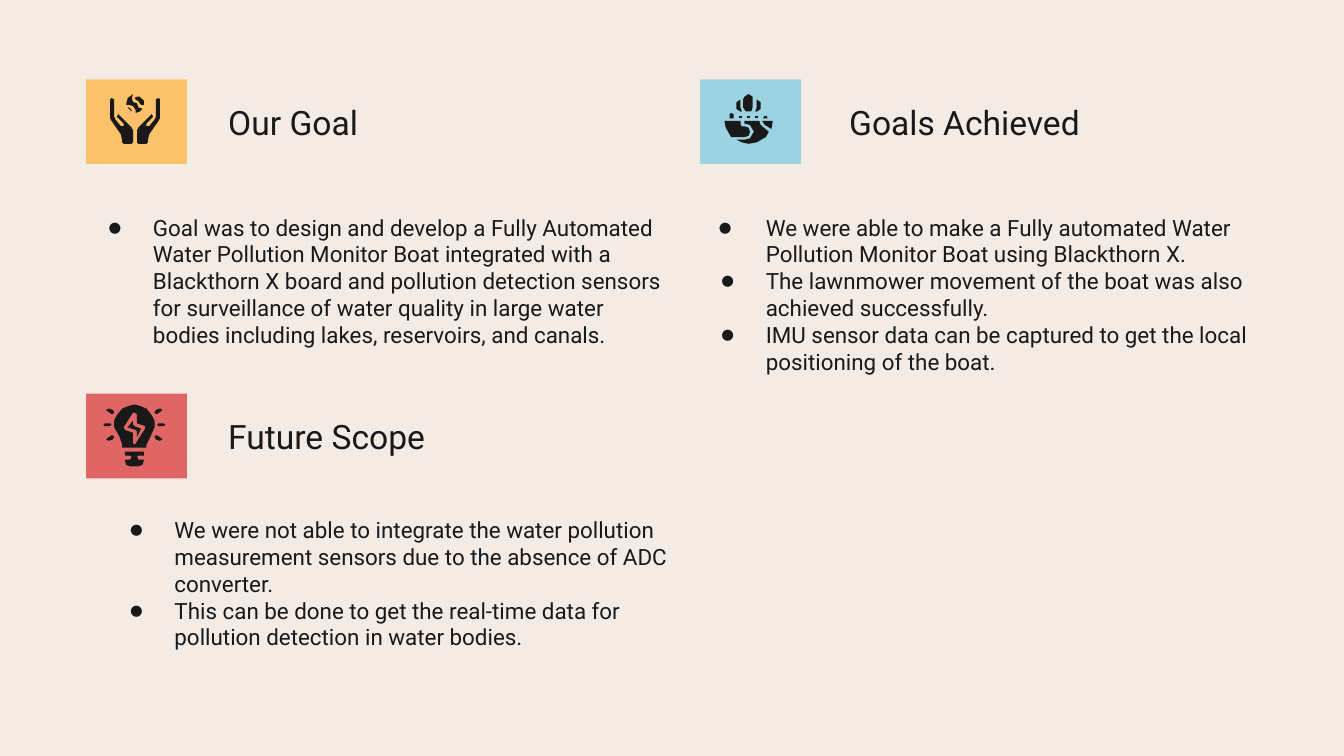
from dataclasses import dataclass
from typing import NamedTuple

from lxml import etree
from pptx import Presentation
from pptx.dml.color import RGBColor
from pptx.enum.shapes import MSO_SHAPE
from pptx.enum.text import MSO_ANCHOR, PP_ALIGN
from pptx.oxml.ns import qn
from pptx.util import Inches, Pt

RECTANGLE = MSO_SHAPE.RECTANGLE
TOP, MIDDLE = MSO_ANCHOR.TOP, MSO_ANCHOR.MIDDLE
LEFT = PP_ALIGN.LEFT

SLIDE_WIDTH = Inches(10)
SLIDE_HEIGHT = SLIDE_WIDTH * 9 // 16
COLUMNS = 1000
UNIT = SLIDE_WIDTH // COLUMNS
FONT = "Roboto"
INK, PAPER = "191919", "F4EBE4"
TILE_COLUMNS, TILE_ROWS = 75, 63
HEADING_COLUMNS, HEADING_ROWS, HEADING_DROP = 274, 53, 5
TEXT_INDENT, HANGING = 50, 33
BULLET_SHARE = "65000"

Outline = list[tuple[int, int]]
Piece = list[Outline]


class Box(NamedTuple):
    column: int
    row: int
    columns: int
    rows: int


class Bullet(NamedTuple):
    text: str
    hanging: int = HANGING


@dataclass
class Section:
    heading: str
    tile_column: int
    tile_row: int
    tile_color: str
    heading_column: int
    body: Box
    bullets: list[Bullet]
    icon: list[Piece]


def mirror_x(outline: Outline, total: int) -> Outline:
    return [(total - x, y) for x, y in outline]


def mirror_y(outline: Outline, total: int) -> Outline:
    return [(x, total - y) for x, y in outline]


def window(column: int) -> Outline:
    return [(column, 27), (column, 29), (column + 2, 29), (column + 2, 27)]


HAND = [(54, 14), (52, 15), (52, 28), (51, 30), (47, 35), (45, 35), (45, 33),
        (50, 28), (49, 26), (48, 27), (39, 36), (38, 38), (38, 47), (39, 48),
        (45, 48), (46, 47), (46, 46), (47, 41), (54, 31), (55, 29), (55, 15)]
GLOBE = [
    [(35, 11), (31, 14), (30, 18), (30, 19), (32, 19), (35, 20), (37, 23), (37, 25),
     (40, 24), (42, 22), (39, 21), (38, 18), (35, 17), (34, 14)],
    [(38, 13), (36, 14), (38, 16), (39, 16), (40, 18), (41, 19), (43, 19), (43, 16), (40, 13)],
    [(31, 21), (34, 24), (34, 23), (32, 21)],
]
CARING_HANDS = [[outline] for outline in [HAND, mirror_x(HAND, 73), *GLOBE]]

SIDE_TOWER = [(30, 15), (27, 17), (27, 22), (30, 24), (31, 24), (30, 21)]
CITY = [
    *map(window, (29, 35, 41)),
    [(47, 29), (47, 28), (49, 27), (50, 28), (50, 29)],
    [(22, 29), (22, 26), (23, 25), (25, 26), (25, 29)],
    [(36, 11), (33, 13), (32, 15), (32, 21), (34, 24), (38, 24), (39, 21), (39, 15), (39, 13)],
    SIDE_TOWER,
    mirror_x(SIDE_TOWER, 72),
]
LAND = [
    [(33, 31), (33, 33), (37, 34), (40, 39), (37, 44), (33, 45), (27, 45), (31, 47),
     (36, 48), (42, 47), (49, 43), (51, 39), (45, 34), (44, 31)],
    [(46, 31), (48, 34), (53, 37), (54, 31)],
    [(18, 31), (19, 36), (23, 43), (33, 43), (36, 42), (37, 39), (36, 36), (33, 35),
     (31, 35), (30, 34), (30, 31)],
]
CITY_ON_EARTH = [[outline] for outline in CITY + LAND]

SIDE_RAY = [(54, 22), (58, 22), (59, 23), (58, 24), (54, 24), (53, 23)]
UPPER_RAY = [(55, 11), (52, 12), (51, 14), (52, 15), (53, 15), (56, 13), (57, 12)]
RIGHT_RAYS = [SIDE_RAY, UPPER_RAY, mirror_y(UPPER_RAY, 46)]
BOLT = [(35, 20), (31, 25), (37, 27), (38, 28), (38, 32), (41, 26), (36, 24), (35, 23)]
SOCKET = [(29, 43), (29, 46), (33, 46), (34, 47), (33, 49), (29, 49), (29, 50), (30, 53),
          (33, 54), (39, 54), (42, 53), (43, 50), (43, 49), (39, 49), (38, 47), (39, 46),
          (43, 46), (43, 43)]
GLASS = [(36, 8), (32, 9), (27, 11), (23, 16), (21, 20), (21, 25), (25, 32), (27, 38),
         (27, 40), (45, 40), (45, 38), (48, 32), (51, 25), (51, 20), (49, 16), (45, 11), (40, 9)]
BOLT_EDGE = [(36, 14), (38, 15), (38, 22), (44, 24), (44, 26), (37, 37), (36, 38),
             (35, 37), (35, 29), (29, 27), (28, 25), (35, 14)]
RAYS = RIGHT_RAYS + [mirror_x(ray, 72) for ray in RIGHT_RAYS]
LIGHT_BULB = [[outline] for outline in [*RAYS, BOLT, SOCKET]] + [[GLASS, BOLT_EDGE]]

SECTIONS = [
    Section("Our Goal", 64, 59, "FCC16B", 160, Box(54, 149, 457, 185), [
        Bullet("Goal was to design and develop a Fully Automated Water Pollution Monitor Boat "
               "integrated with a Blackthorn X board and pollution detection sensors for "
               "surveillance of water quality in large water bodies including lakes, "
               "reservoirs, and canals."),
    ], CARING_HANDS),
    Section("Goals Achieved", 521, 59, "9CD3E2", 622, Box(510, 149, 444, 281), [
        Bullet("We were able to make a Fully automated Water Pollution Monitor Boat using "
               "Blackthorn X.", 35),
        Bullet("The lawnmower movement of the boat was also achieved successfully."),
        Bullet("IMU sensor data can be captured to get the local positioning of the boat."),
    ], CITY_ON_EARTH),
    Section("Future Scope", 64, 293, "E06666", 160, Box(70, 374, 457, 185), [
        Bullet("We were not able to integrate the water pollution measurement sensors due to "
               "the absence of ADC converter."),
        Bullet("This can be done to get the real-time data for pollution detection in water "
               "bodies."),
    ], LIGHT_BULB),
]


def paint(fill, color: str) -> None:
    fill.solid()
    fill.fore_color.rgb = RGBColor.from_string(color)


def finish(shape, color: str) -> None:
    paint(shape.fill, color)
    shape.line.fill.background()
    shape.shadow.inherit = False


def add_bullet(paragraph, hanging: int) -> None:
    properties = paragraph._p.get_or_add_pPr()
    properties.set("marL", str(TEXT_INDENT * UNIT))
    properties.set("indent", str(-hanging * UNIT))
    bullet_color = etree.SubElement(properties, qn("a:buClr"))
    etree.SubElement(bullet_color, qn("a:srgbClr"), val=INK)
    etree.SubElement(properties, qn("a:buSzPct"), val=BULLET_SHARE)
    etree.SubElement(properties, qn("a:buFont"), typeface=FONT)
    etree.SubElement(properties, qn("a:buChar"), char="●")


def add_text(slide, box: Box, lines: list[str], size: int, anchor) -> list:
    frame = slide.shapes.add_textbox(*(length * UNIT for length in box)).text_frame
    margin = 10 * UNIT
    layout = {"word_wrap": True, "vertical_anchor": anchor, "margin_left": margin,
              "margin_right": margin, "margin_top": margin, "margin_bottom": margin}
    for name, value in layout.items():
        setattr(frame, name, value)
    frame.text = "\n".join(lines)
    for paragraph in frame.paragraphs:
        paragraph.alignment = LEFT
        font = paragraph.runs[0].font
        for name, value in {"name": FONT, "size": Pt(size)}.items():
            setattr(font, name, value)
        paint(font.fill, INK)
    return list(frame.paragraphs)


def add_icon(slide, section: Section) -> None:
    icon = slide.shapes.add_group_shape()
    for piece in section.icon:
        placed = [[(section.tile_column + x, section.tile_row + y) for x, y in outline]
                  for outline in piece]
        builder = icon.shapes.build_freeform(*placed[0][0], scale=UNIT)
        builder.add_line_segments(placed[0][1:], close=True)
        for cutout in placed[1:]:
            builder.move_to(*cutout[0])
            builder.add_line_segments(cutout[1:], close=True)
        finish(builder.convert_to_shape(), INK)


def add_section(slide, section: Section) -> None:
    body = add_text(slide, section.body, [bullet.text for bullet in section.bullets], 12, TOP)
    for paragraph, bullet in zip(body, section.bullets):
        add_bullet(paragraph, bullet.hanging)
    heading_box = Box(section.heading_column, section.tile_row + HEADING_DROP,
                      HEADING_COLUMNS, HEADING_ROWS)
    add_text(slide, heading_box, [section.heading], 18, MIDDLE)
    tile_box = Box(section.tile_column, section.tile_row, TILE_COLUMNS, TILE_ROWS)
    tile = slide.shapes.add_shape(RECTANGLE, *(length * UNIT for length in tile_box))
    finish(tile, section.tile_color)
    add_icon(slide, section)


def main() -> None:
    deck = Presentation()
    deck.slide_width, deck.slide_height = SLIDE_WIDTH, SLIDE_HEIGHT
    slide = deck.slides.add_slide(deck.slide_layouts[6])
    paint(slide.background.fill, PAPER)
    for section in SECTIONS:
        add_section(slide, section)
    deck.save("out.pptx")


if __name__ == "__main__":
    main()
